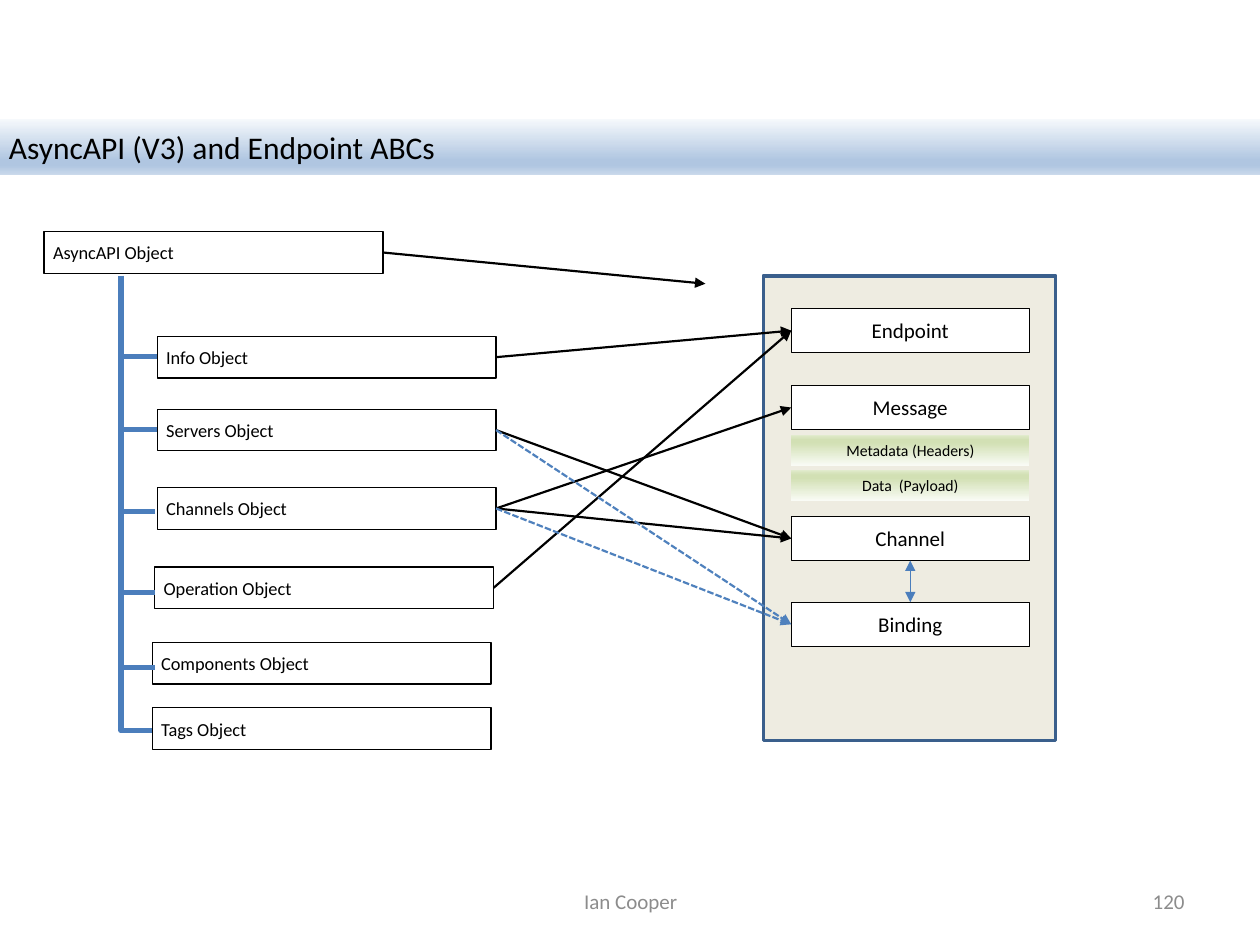
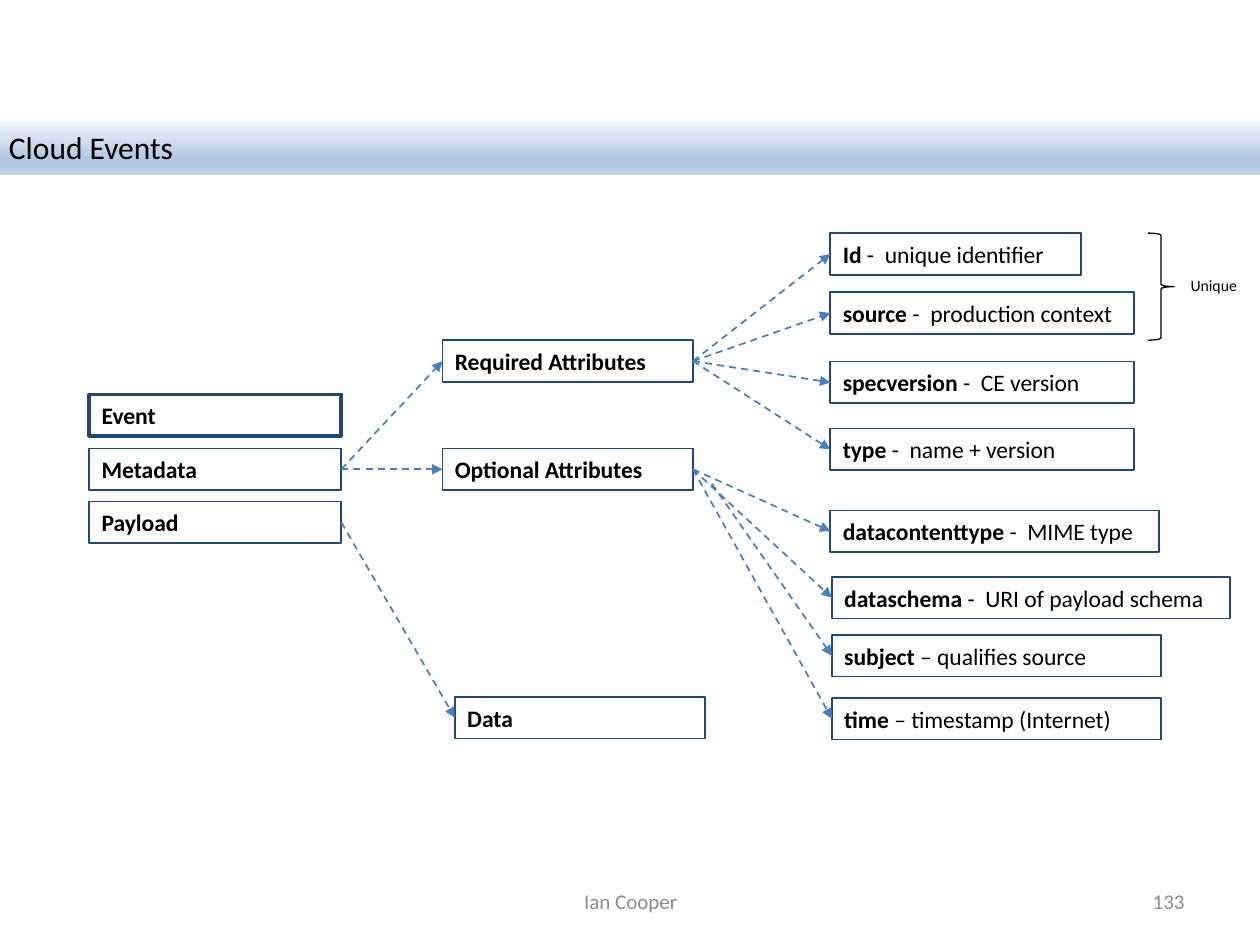
import pptx
import pptx.dml.color
import pptx.enum.dml
import pptx.enum.shapes
import pptx.enum.text
import pptx.oxml
import pptx.oxml.ns
import pptx.util
from lxml import etree

Cm = pptx.util.Cm
qn = pptx.oxml.ns.qn
KIND = pptx.enum.shapes.MSO_SHAPE
JOIN = pptx.enum.shapes.MSO_CONNECTOR
DASH = pptx.enum.dml.MSO_LINE
ALIGN = pptx.enum.text.PP_ALIGN
MID = pptx.enum.text.MSO_ANCHOR.MIDDLE

FONT = "Calibri"
HUE = {
    "black": "000000", "white": "FFFFFF", "grey": "8C8C8C", "sand": "EEECE1",
    "navy": "1F497D", "frame": "3A5F8C", "blue": "4B7EBC", "sky": "4F81BD",
}
# Gradient stops: percent and colour
BLUES = [(0, "F6F9FC"), (74, "B0C6E1"), (83, "B0C6E1"), (100, "CAD9EB")]
GREENS = [(0, "FAFCF7"), (74, "D2E0B4"), (83, "D2E0B4"), (100, "E1EBCD")]
ROW = 0.84          # height of a one-line box
SLIM = 0.18         # narrow text margin


# ---- Shared helpers ----
def rgb(name):
    return pptx.dml.color.RGBColor.from_string(HUE[name])


def place(shape, left, top, width, height):
    shape.left, shape.top = Cm(left), Cm(top)
    shape.width, shape.height = Cm(width), Cm(height)


def grade(shape, stops, angle):
    """Fill a shape with a gradient; the angle runs counter-clockwise."""
    shape.fill.gradient()
    shape.fill.gradient_angle = angle
    group = next(shape.element.iter(qn("a:gsLst")))
    for old in list(group):
        group.remove(old)
    for pos, tone in stops:
        stop = etree.SubElement(group, qn("a:gs"), pos=str(pos * 1000))
        etree.SubElement(stop, qn("a:srgbClr"), val=tone)


def style(shape, size, hue="black", align=ALIGN.LEFT, side=None):
    """Format all text of a shape; side sets a common margin in cm."""
    frame = shape.text_frame
    frame.word_wrap = True
    frame.vertical_anchor = MID
    if side is not None:
        frame.margin_left = frame.margin_right = Cm(side)
        frame.margin_top = frame.margin_bottom = Cm(side)
    for para in frame.paragraphs:
        para.alignment = align
        for run in para.runs:
            run.font.name, run.font.size = FONT, pptx.util.Pt(size)
            run.font.color.rgb = rgb(hue)


def box(slide, area, line=None, weight=0.75, fill=None, kind=KIND.RECTANGLE):
    shape = slide.shapes.add_shape(kind, 0, 0, 0, 0)
    place(shape, *area)
    shape.shadow.inherit = False
    if fill:
        shape.fill.solid()
        shape.fill.fore_color.rgb = rgb(fill)
    else:
        shape.fill.background()
    if line:
        shape.line.color.rgb = rgb(line)
        shape.line.width = pptx.util.Pt(weight)
    else:
        shape.line.fill.background()
    return shape


def note(slide, text, area, size, hue="black", align=ALIGN.LEFT):
    shape = slide.shapes.add_textbox(*map(Cm, area))
    shape.text_frame.text = text
    style(shape, size, hue, align)


def stroke(wire, hue, weight, dash=None, heads=()):
    """Format a connector; heads names the ends that carry an arrow."""
    wire.line.color.rgb = rgb(hue)
    wire.line.width = pptx.util.Pt(weight)
    if dash:
        wire.line.dash_style = dash
    props = wire.element.spPr
    for end in heads:
        etree.SubElement(props.find(qn("a:ln")), qn("a:" + end), type="triangle")
    etree.SubElement(props, qn("a:effectLst"))


def link(slide, start, end, hue, weight, dash=None, heads=("tailEnd",), sides=(3, 1)):
    """Arrow between two ends, each a shape or a point in cm."""
    wire = slide.shapes.add_connector(JOIN.STRAIGHT, 0, 0, 0, 0)
    if isinstance(start, tuple):
        wire.begin_x, wire.begin_y = map(Cm, start)
    else:
        wire.begin_connect(start, sides[0])
    if isinstance(end, tuple):
        wire.end_x, wire.end_y = map(Cm, end)
    else:
        wire.end_connect(end, sides[1])
    stroke(wire, hue, weight, dash, heads)


def elbow(slide, x1, y1, x2, y2):
    """Branch that runs down, then right: a turned and flipped elbow."""
    mid_x, mid_y = (x1 + x2) / 2, (y1 + y2) / 2
    half_w, half_h = (y2 - y1) / 2, (x2 - x1) / 2
    wire = slide.shapes.add_connector(
        JOIN.ELBOW, Cm(mid_x - half_w), Cm(mid_y - half_h),
        Cm(mid_x + half_w), Cm(mid_y + half_h))
    props = wire.element.spPr
    props.find(qn("a:prstGeom")).set("prst", "bentConnector2")
    frame = props.find(qn("a:xfrm"))
    frame.set("rot", "16200000")
    frame.set("flipH", "1")
    stroke(wire, "blue", 3)


def start(deck, title, page):
    """New slide with title band and footer."""
    slide = deck.slides.add_slide(deck.slide_layouts[5])
    band = slide.shapes.title
    place(band, 0, 2.39, 25.4, 1.14)
    band.text_frame.text = title
    grade(band, BLUES, 270)
    style(band, 18, side=SLIM)
    note(slide, "Ian Cooper", (8.69, 17.65, 8.05, 1.02), 12, "grey", ALIGN.CENTER)
    note(slide, page, (18.21, 17.65, 5.92, 1.02), 12, "grey", ALIGN.RIGHT)
    return slide


# ---- Slide 1: object tree and endpoint panel ----
def tree(slide, left, top):
    """Root box with its branches; gives the boxes by name."""
    # Name, box offset, branch start, branch end
    rows = [
        ("Info", 2.28, 2.11, 1.48, (2.28, 2.52)),
        ("Servers", 2.28, 3.58, 1.58, (2.28, 3.99)),
        ("Channels", 2.28, 5.16, 1.48, (2.23, 5.64)),
        ("Operation", 2.23, 6.76, 6.13, (2.23, 7.27)),
        ("Components", 2.18, 8.28, 0.89, (2.23, 8.79)),
        ("Tags", 2.18, 9.6, 0.89, (2.18, 10.06)),
    ]
    nodes = {}
    for name, x, y in [("AsyncAPI", 0, 0)] + [row[:3] for row in rows]:
        node = box(slide, (left + x, top + y, 6.83, ROW), "black")
        node.text_frame.text = name + " Object"
        style(node, 10.5, side=SLIM)
        nodes[name] = node
    for row in rows:
        x, y = row[4]
        elbow(slide, left + 1.55, top + row[3], left + x, top + y)
    return nodes


def panel(slide, left, top):
    """Framed endpoint parts; gives the boxes by name."""
    box(slide, (left, top, 5.89, 9.37), "frame", 2, "sand")
    inner, width = left + 0.56, 4.8
    cells = {}
    for name, y in [("Endpoint", 0.66), ("Message", 2.21), ("Channel", 4.85), ("Binding", 6.58)]:
        cell = box(slide, (inner, top + y, width, 0.89), "black", fill="white")
        cell.text_frame.text = name
        style(cell, 12, align=ALIGN.CENTER, side=SLIM)
        cells[name] = cell
    # Parts of a message
    for text, y in [("Metadata (Headers)", 3.2), ("Data  (Payload)", 3.91)]:
        strip = box(slide, (inner, top + y, width, 0.64))
        grade(strip, GREENS, 90)
        strip.text_frame.text = text
        style(strip, 9, align=ALIGN.CENTER)
    link(slide, cells["Channel"], cells["Binding"], "blue", 0.75,
         heads=("headEnd", "tailEnd"), sides=(2, 0))
    return cells


def async_slide(deck):
    slide = start(deck, "AsyncAPI (V3) and Endpoint ABCs", "120")
    nodes = tree(slide, 0.89, 4.67)
    cells = panel(slide, 15.39, 5.56)
    link(slide, nodes["AsyncAPI"], (14.22, 5.72), "black", 1.25)
    for name, cell in [("Info", "Endpoint"), ("Servers", "Channel"), ("Channels", "Channel"),
                       ("Operation", "Endpoint"), ("Channels", "Message")]:
        link(slide, nodes[name], cells[cell], "black", 1.25)
    for name in ("Servers", "Channels"):
        link(slide, nodes[name], cells["Binding"], "sky", 1.25, DASH.SQUARE_DOT)


# ---- Slide 2: parts of a cloud event ----
def entry(slide, lead, rest, left, top, width=5.05, weight=1):
    """Box with a bold lead and an optional plain rest."""
    shape = box(slide, (left, top, width, ROW), "navy", weight)
    para = shape.text_frame.paragraphs[0]
    para.text = lead
    para.runs[0].font.bold = True
    if rest:
        run = para.add_run()
        run.text = rest
        run.font.bold = False
    style(shape, 13.5)
    return shape


def column(slide, left, top, rows):
    """Stack of entries: lead, rest, x and y offset, width, weight."""
    return [entry(slide, lead, rest, left + x, top + y, *more)
            for lead, rest, x, y, *more in rows]


def brace(slide, left, top):
    box(slide, (left, top, 0.53, 2.16), "black", kind=KIND.RIGHT_BRACE)
    note(slide, "Unique", (left + 0.61, top + 0.74, 1.5, 0.64), 9)


def cloud_slide(deck):
    slide = start(deck, "Cloud Events", "133")
    event, meta, payload = column(slide, 1.8, 7.95, [
        ("Event", "", 0, 0, 5.08, 2),
        ("Metadata", "", 0, 1.09, 5.08),
        ("Payload", "", 0, 2.16, 5.08),
    ])
    needed, extra, data = column(slide, 8.92, 6.86, [
        ("Required Attributes", "", 0, 0),
        ("Optional Attributes", "", 0, 2.18),
        ("Data", "", 0.25, 7.19),
    ])
    fields = column(slide, 16.74, 4.7, [
        ("Id ", "-  unique identifier", 0, 0),
        ("source ", "-  production context", 0, 1.19, 6.12),
        ("specversion ", "-  CE version", 0, 2.59, 6.12),
        ("type ", "-  name + version", 0, 3.94, 6.12),
        ("datacontenttype ", "-  MIME type", 0, 5.59, 6.63),
        ("dataschema ", "-  URI of payload schema", 0.03, 6.93, 8.03),
        ("subject ", "– qualifies source", 0.03, 8.1, 6.63),
        ("time ", "– timestamp (Internet)", 0.03, 9.37, 6.63),
    ])
    brace(slide, 23.14, 4.7)
    # Arrows from each part to what it holds
    pairs = [(meta, needed), (meta, extra), (payload, data)]
    pairs += [(needed, field) for field in fields[:4]]
    pairs += zip([extra, extra, (14.35, 9.75), extra], fields[4:])
    for source, target in pairs:
        link(slide, source, target, "blue", 1, DASH.DASH)


def main():
    deck = pptx.Presentation()
    deck.slide_width, deck.slide_height = Cm(25.4), Cm(19.05)
    async_slide(deck)
    cloud_slide(deck)
    deck.save("out.pptx")


if __name__ == "__main__":
    main()
